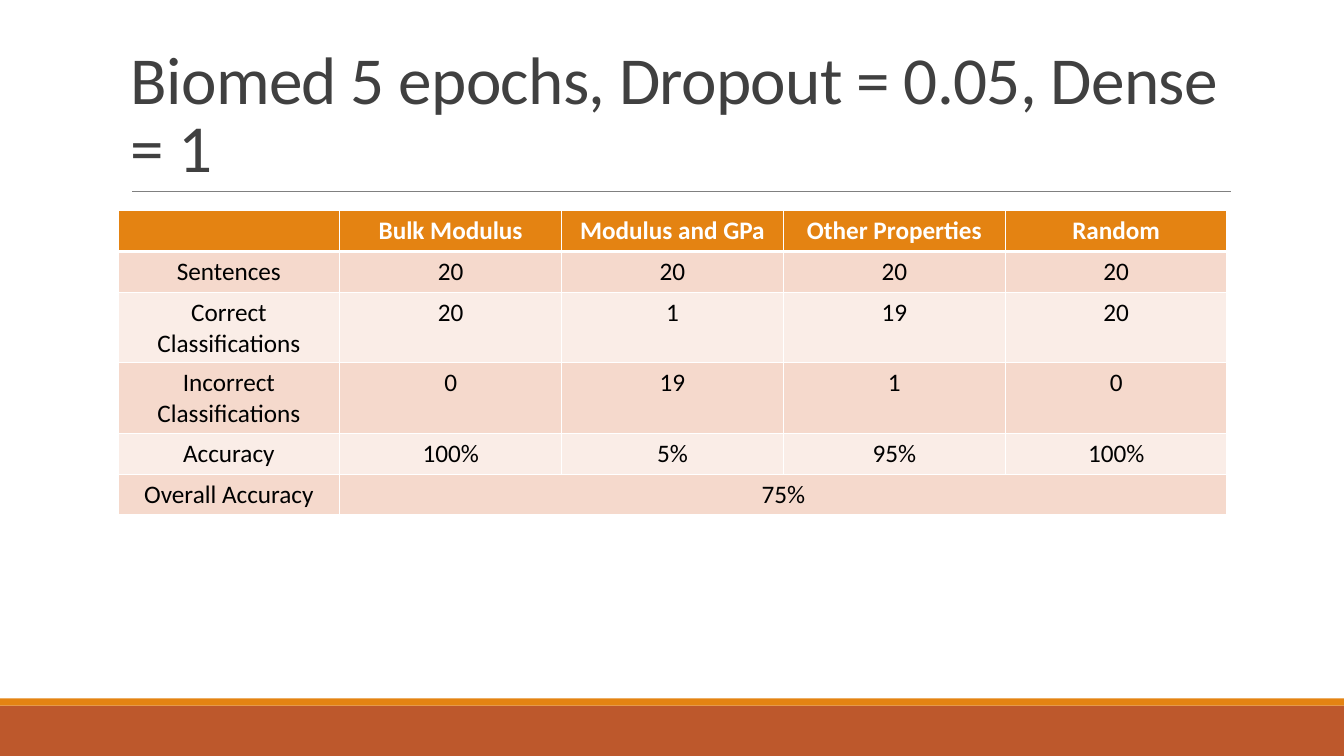
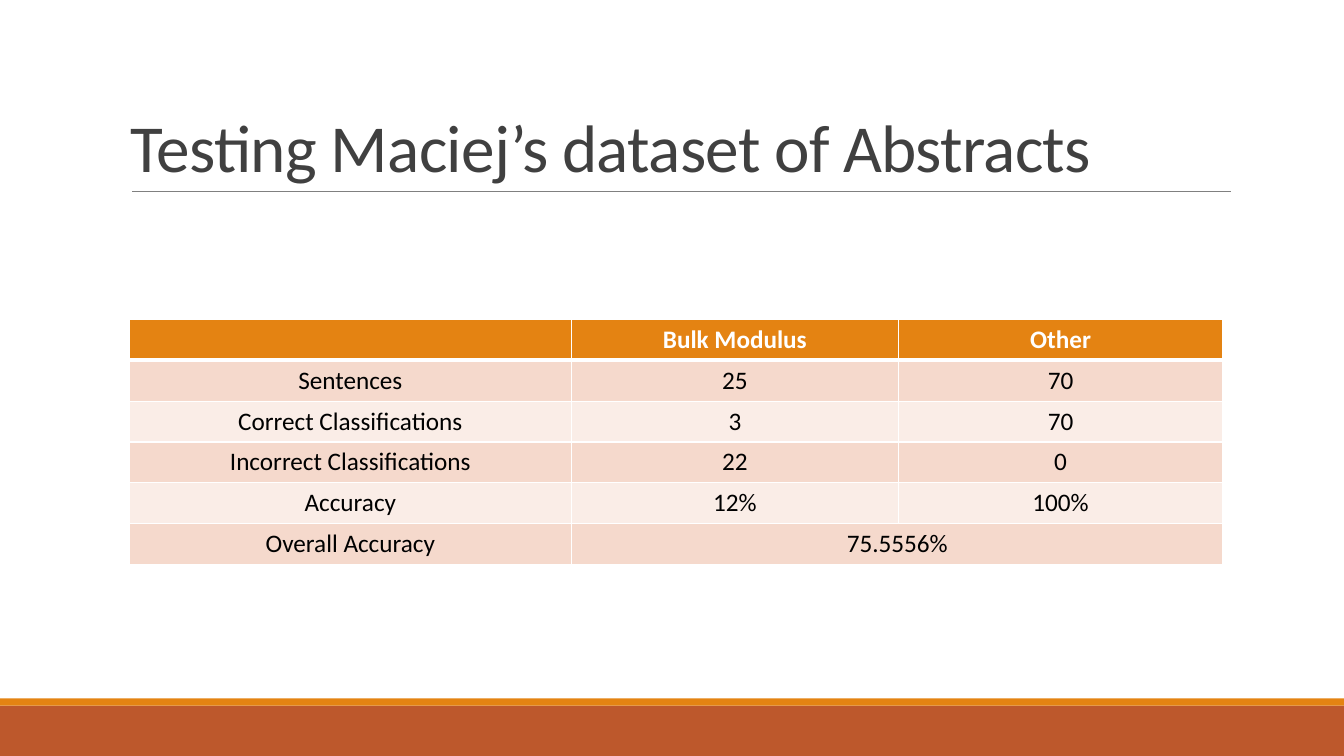
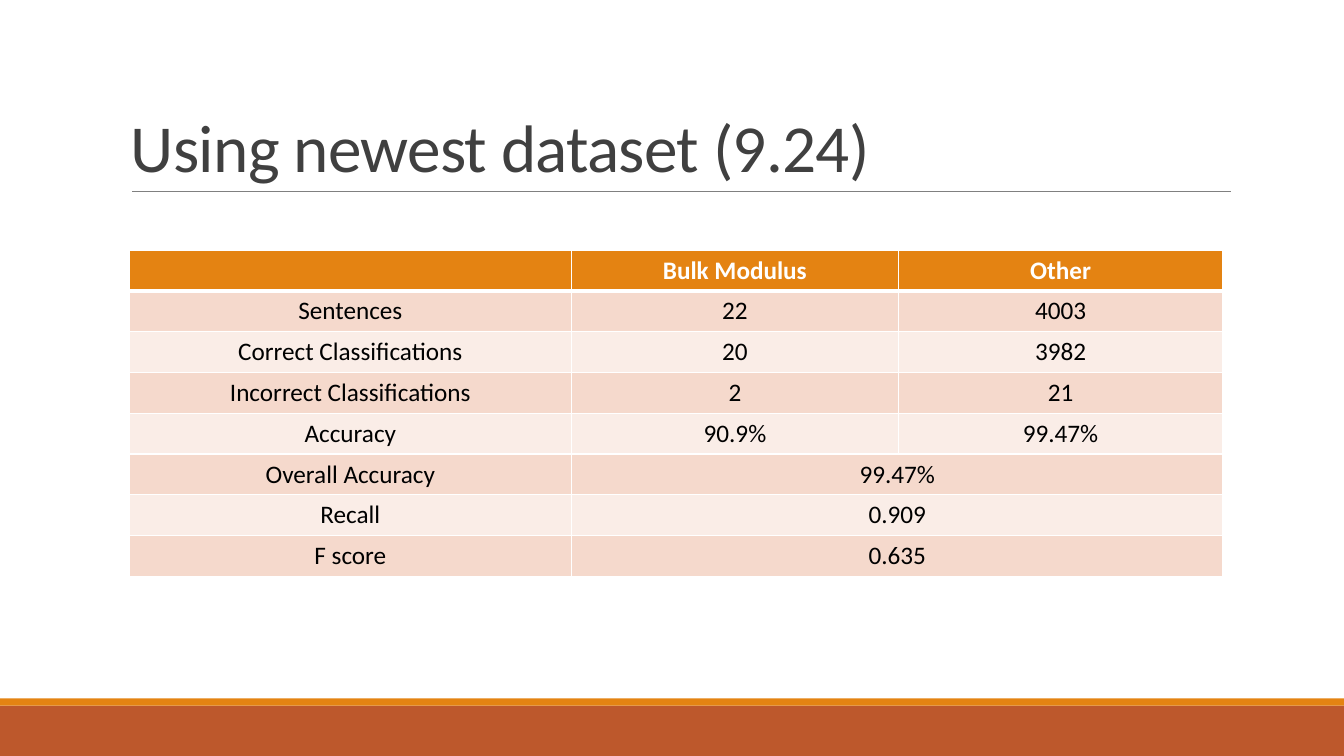
import dataclasses

import pptx
import pptx.dml.color
import pptx.enum.shapes
import pptx.enum.text
import pptx.oxml
import pptx.oxml.ns
import pptx.util
from pptx.util import Inches

ALIGN = pptx.enum.text.PP_ALIGN
ANCHOR = pptx.enum.text.MSO_ANCHOR


@dataclasses.dataclass(frozen=True)
class Theme:
    """Colours, font and type sizes of the deck."""
    font: str = "Calibri"
    title_size: float = 48
    table_size: float = 18
    title: str = "404040"
    rule: str = "808080"
    accent: str = "E48312"
    footer: str = "BD582C"
    odd_row: str = "F5D9CC"
    even_row: str = "FAEDE7"
    white: str = "FFFFFF"
    black: str = "000000"


def rgb(color):
    """Turn a hex string into a colour."""
    return pptx.dml.color.RGBColor.from_string(color)


def write(tf, text, *, font, size, color, bold=False, align=ALIGN.LEFT,
          line_spacing=None, tracking=None):
    """Put one formatted paragraph into a text frame."""
    tf.word_wrap = True
    p = tf.paragraphs[0]
    p.alignment = align
    p.line_spacing = line_spacing
    p.font.size = pptx.util.Pt(size)
    if not text:
        return
    r = p.add_run()
    r.text = text
    r.font.name = font
    r.font.size = pptx.util.Pt(size)
    r.font.bold = bold
    r.font.color.rgb = rgb(color)
    if tracking is not None:
        r.font._element.set("spc", str(round(tracking * 100)))


class Deck:
    """Holds the theme, the presentation and the current slide."""

    def __init__(self, theme):
        """Start an empty widescreen presentation."""
        self.theme = theme
        self.prs = pptx.Presentation()
        self.prs.slide_width = Inches(13.33)
        self.prs.slide_height = Inches(7.5)
        self.s = None

    def slide(self, title):
        """Add a slide with the footer bands, title and title rule."""
        self.s = self.prs.slides.add_slide(self.prs.slide_layouts[6])
        self.band(7, 0.5, self.theme.footer)
        self.band(6.93, 0.07, self.theme.accent)
        self.rule(1.31, 12.21, 1.9)
        self.title(title)

    def band(self, top, height, color):
        """Draw a full-width band."""
        sp = self.s.shapes.add_shape(
            pptx.enum.shapes.MSO_SHAPE.RECTANGLE,
            0, Inches(top), self.prs.slide_width, Inches(height))
        sp.shadow.inherit = False
        sp.fill.solid()
        sp.fill.fore_color.rgb = rgb(color)
        sp.line.fill.background()

    def rule(self, left, right, y):
        """Draw a thin horizontal line."""
        line = self.s.shapes.add_connector(
            pptx.enum.shapes.MSO_CONNECTOR.STRAIGHT,
            Inches(left), Inches(y), Inches(right), Inches(y))
        line.line.color.rgb = rgb(self.theme.rule)
        line.line.width = pptx.util.Pt(0.5)
        line._element.spPr.append(pptx.oxml.parse_xml(
            f'<a:effectLst {pptx.oxml.ns.nsdecls("a")}/>'))

    def title(self, text):
        """Write the slide title just above the rule."""
        t = self.theme
        sp = self.s.shapes.add_textbox(
            Inches(1.2), Inches(0.31), Inches(11), Inches(1.59))
        sp.text_frame.vertical_anchor = ANCHOR.BOTTOM
        write(sp.text_frame, text, font=t.font, size=t.title_size,
              color=t.title, line_spacing=0.85, tracking=-0.5)

    def table(self, left, top, height, widths, rows):
        """Add a banded table; a lone value spans all value columns."""
        t = self.theme
        table = self.s.shapes.add_table(
            len(rows), len(widths), Inches(left), Inches(top),
            Inches(sum(widths)), Inches(height)).table
        table.horz_banding = False
        for column, width in zip(table.columns, widths):
            column.width = Inches(width)
        for i, values in enumerate(rows):
            header = i == 0
            fill = t.accent if header else t.odd_row if i % 2 else t.even_row
            if len(values) == 2:
                table.cell(i, 1).merge(table.cell(i, len(widths) - 1))
            for j in range(len(widths)):
                cell = table.cell(i, j)
                cell.fill.solid()
                cell.fill.fore_color.rgb = rgb(fill)
                self.borders(cell, top=3 if i == 1 else 1,
                             bottom=3 if header else 1)
                if j < len(values):
                    write(cell.text_frame, values[j], font=t.font,
                          size=t.table_size, bold=header, align=ALIGN.CENTER,
                          color=t.white if header else t.black)

    def borders(self, cell, top, bottom):
        """Give a cell white borders, with widths in points."""
        tc_pr = cell._tc.get_or_add_tcPr()
        sides = {"lnL": 1, "lnR": 1, "lnT": top, "lnB": bottom}
        for k, (side, width) in enumerate(sides.items()):
            tc_pr.insert(k, pptx.oxml.parse_xml(
                f'<a:{side} {pptx.oxml.ns.nsdecls("a")} '
                f'w="{pptx.util.Pt(width)}"><a:solidFill>'
                f'<a:srgbClr val="{self.theme.white}"/>'
                f'</a:solidFill></a:{side}>'))


def results(classes, sentences, correct, incorrect, accuracy, **totals):
    """Label the rows of a classification result."""
    return [
        ["", *classes],
        ["Sentences", *sentences],
        ["Correct Classifications", *correct],
        ["Incorrect Classifications", *incorrect],
        ["Accuracy", *accuracy],
        *([name.replace("_", " "), value] for name, value in totals.items()),
    ]


def main():
    """Build the three result slides."""
    deck = Deck(Theme())
    two_classes = ["Bulk Modulus", "Other"]
    two_class_widths = [4.39, 3.24, 3.22]

    deck.slide("Biomed 5 epochs, Dropout = 0.05, Dense = 1")
    deck.table(1.17, 2.09, 2.43, [2.2] * 5, results(
        ["Bulk Modulus", "Modulus and GPa", "Other Properties", "Random"],
        ["20", "20", "20", "20"],
        ["20", "1", "19", "20"],
        ["0", "19", "1", "0"],
        ["100%", "5%", "95%", "100%"],
        Overall_Accuracy="75%"))

    deck.slide("Testing Maciej’s dataset of Abstracts")
    deck.table(1.28, 3.17, 2.43, two_class_widths, results(
        two_classes, ["25", "70"], ["3", "70"], ["22", "0"],
        ["12%", "100%"], Overall_Accuracy="75.5556%"))

    deck.slide("Using newest dataset (9.24)")
    deck.table(1.28, 2.48, 3.24, two_class_widths, results(
        two_classes, ["22", "4003"], ["20", "3982"], ["2", "21"],
        ["90.9%", "99.47%"], Overall_Accuracy="99.47%",
        Recall="0.909", F_score="0.635"))

    deck.prs.save("out.pptx")


if __name__ == "__main__":
    main()
